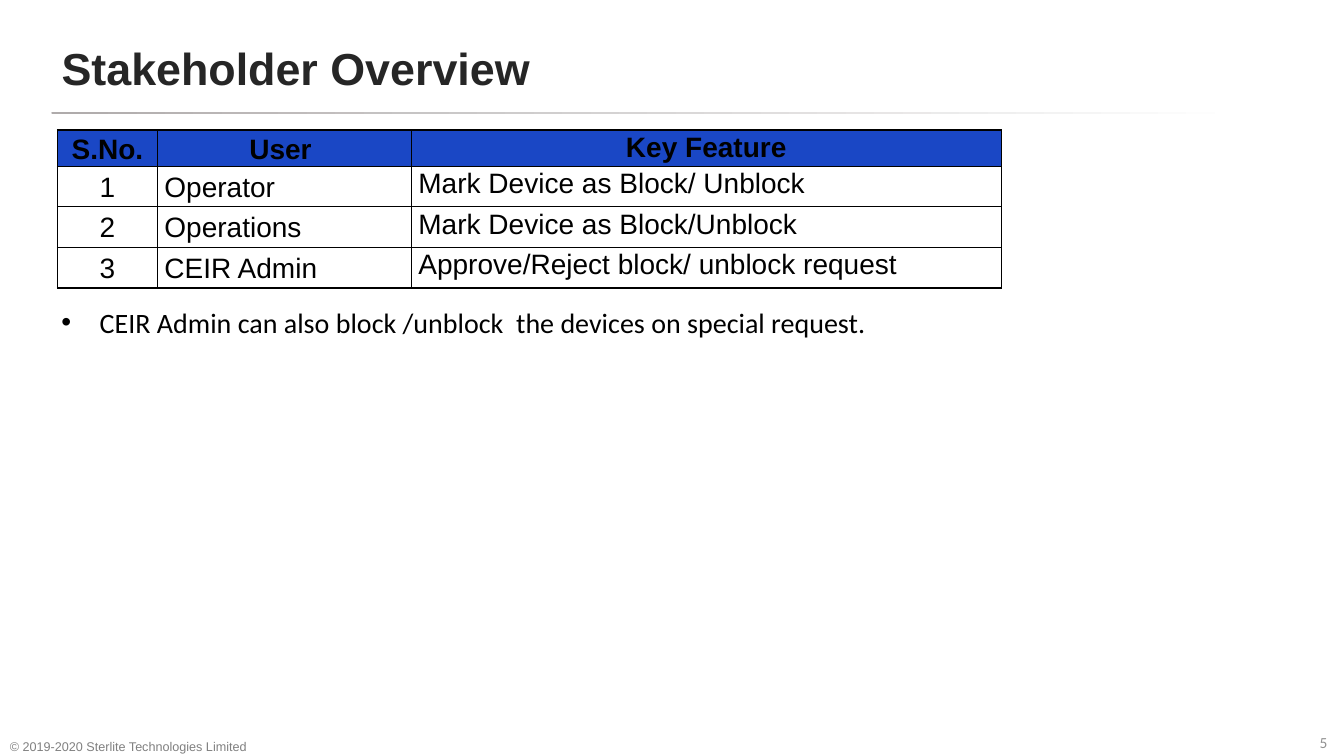
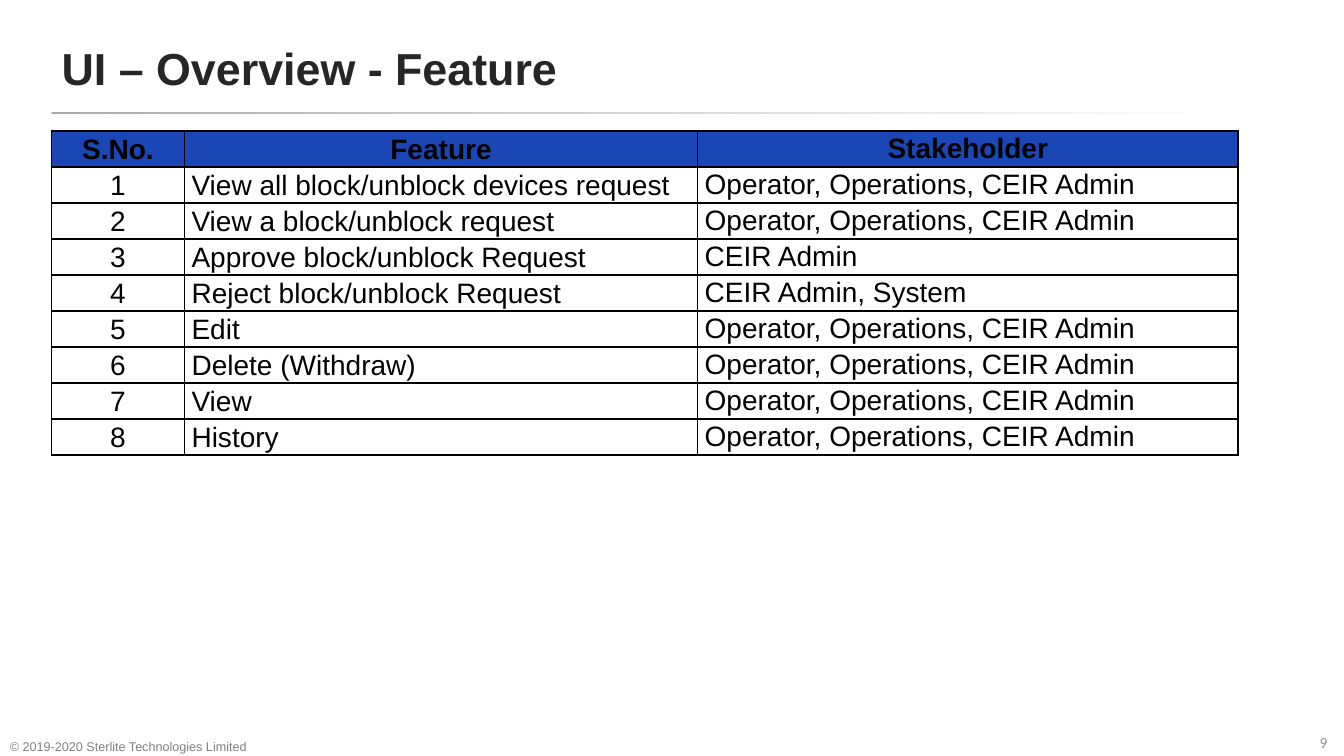
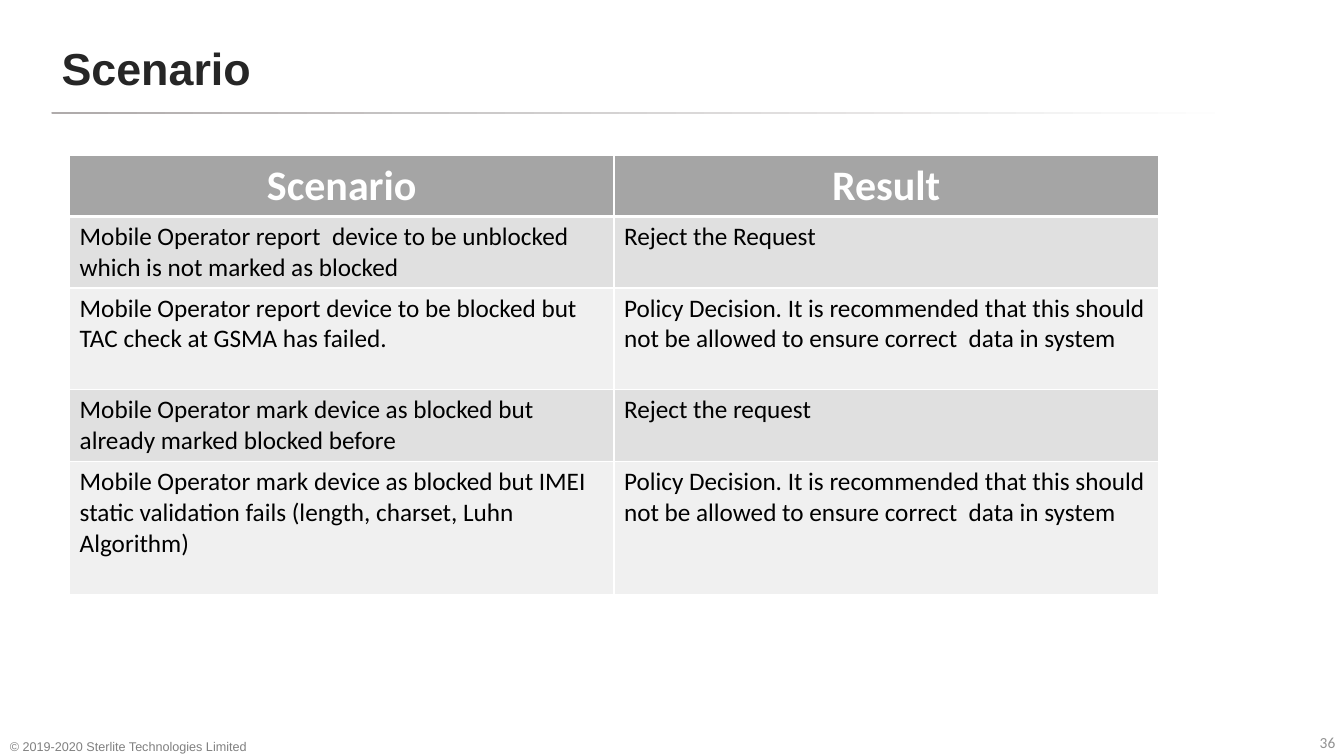
from dataclasses import dataclass
from itertools import chain

from lxml import etree
from pptx import Presentation
from pptx.dml.color import RGBColor
from pptx.enum.shapes import MSO_SHAPE
from pptx.enum.text import MSO_ANCHOR, MSO_AUTO_SIZE, PP_ALIGN
from pptx.oxml.ns import qn
from pptx.util import Inches, Pt

LEFT, CENTER = PP_ALIGN.LEFT, PP_ALIGN.CENTER
TOP, MIDDLE, BOTTOM = MSO_ANCHOR.TOP, MSO_ANCHOR.MIDDLE, MSO_ANCHOR.BOTTOM
FIXED, GROW = MSO_AUTO_SIZE.NONE, MSO_AUTO_SIZE.SHAPE_TO_FIT_TEXT
ROUNDED = MSO_SHAPE.ROUNDED_RECTANGLE
TITLE_ONLY = 5
WIDTH, HEIGHT = Inches(13.33), Inches(7.5)
COPYRIGHT = "© 2019-2020 Sterlite Technologies Limited"
ALL_USERS = "Operator, Operations, CEIR Admin"
POLICY = ("Policy Decision. It is recommended that this should "
          "not be allowed to ensure correct  data in system")


@dataclass(frozen=True)
class TextStyle:
    size: float
    name: str
    color: str
    bold: bool = False


class Theme:
    title = TextStyle(32, "Arial", "262626", True)
    page_number = TextStyle(11, "Calibri", "929292")
    copyright = TextStyle(9, "Arial", "808080")
    note = TextStyle(20, "Calibri", "000000")
    list_header = TextStyle(20, "Arial", "000000", True)
    list_body = TextStyle(20, "Arial", "000000")
    scenario_header = TextStyle(30, "Calibri", "FFFFFF", True)
    scenario_body = TextStyle(18, "Calibri", "000000")
    black, white = "000000", "FFFFFF"
    rule = "AFABAB"
    stakeholder_blue, feature_blue = "1A47C5", "1B47B6"
    gray, band_dark, band_light = "A5A5A5", "E0E0E0", "F0F0F0"


def across(percent):
    return round(WIDTH * percent / 100)


def down(percent):
    return round(HEIGHT * percent / 100)


def area(left, top, width, height):
    """Turn percentages of the slide into a position and size."""
    return across(left), down(top), across(width), down(height)


def set_all(target, values):
    for name, value in values.items():
        setattr(target, name, value)


def write(frame, text, style, align=LEFT, paragraph_format=None, **frame_format):
    set_all(frame, frame_format)
    paragraph = frame.paragraphs[0]
    set_all(paragraph, {"alignment": align, **(paragraph_format or {})})
    run = paragraph.add_run()
    run.text = text
    set_all(run.font, {"size": Pt(style.size), "name": style.name, "bold": style.bold})
    run.font.color.rgb = RGBColor.from_string(style.color)
    return paragraph


def add_text(slide, box, text, style, **text_format):
    shape = slide.shapes.add_textbox(*box)
    return write(shape.text_frame, text, style, **text_format)


def add_rule(slide):
    """Draw the line below the title that fades out to the right."""
    rule = slide.shapes.add_shape(ROUNDED, *area(3.83, 14.8, 92.35, 0.27))
    rule.adjustments[0] = 0.5
    rule.shadow.inherit = False
    rule.line.fill.background()
    rule.fill.gradient()
    rule.fill.gradient_angle = 0
    for stop, position, color in zip(rule.fill.gradient_stops, (0, 0.96),
                                     (Theme.rule, Theme.white)):
        stop.position = position
        stop.color.rgb = RGBColor.from_string(color)


def add_slide(presentation, title, number):
    slide = presentation.slides.add_slide(presentation.slide_layouts[TITLE_ONLY])
    add_rule(slide)
    heading = slide.shapes.title
    box = area(3.83, 3.07, 74.42, 11.73)
    set_all(heading, dict(zip(("left", "top", "width", "height"), box)))
    write(heading.text_frame, title, Theme.title,
          vertical_anchor=MIDDLE, auto_size=FIXED, word_wrap=True)
    margins = {f"margin_{side}": Inches(0.05) for side in ("left", "top", "right", "bottom")}
    add_text(slide, area(97.82, 96.27, 2.03, 3.33), str(number), Theme.page_number,
             word_wrap=False, auto_size=GROW, **margins)
    add_text(slide, area(0, 96.27, 22.73, 4.13), COPYRIGHT, Theme.copyright,
             word_wrap=True, vertical_anchor=BOTTOM)
    return slide


def add_bullet_note(slide, box, text):
    paragraph = add_text(slide, box, text, Theme.note, word_wrap=True)
    properties = paragraph._p.get_or_add_pPr()
    indent = Inches(0.38)
    properties.set("marL", str(indent))
    properties.set("indent", str(-indent))
    etree.SubElement(properties, qn("a:buFont"), typeface="Arial")
    etree.SubElement(properties, qn("a:buChar"), char="•")


def set_borders(cell, color, bottom_width=1):
    properties = cell._tc.get_or_add_tcPr()
    for index, side in enumerate("LRTB"):
        width = Pt(bottom_width if side == "B" else 1)
        line = etree.Element(qn(f"a:ln{side}"), w=str(width))
        fill = etree.SubElement(line, qn("a:solidFill"))
        etree.SubElement(fill, qn("a:srgbClr"), val=color)
        properties.insert(index, line)


def add_grid(slide, left, top, columns, heights):
    """Add an unstyled table; all sizes are percentages of the slide."""
    box = area(left, top, sum(columns), sum(heights))
    table = slide.shapes.add_table(len(heights), len(columns), *box).table
    set_all(table, {"first_row": False, "horz_banding": False})
    for column, width in zip(table.columns, columns):
        column.width = across(width)
    for row, height in zip(table.rows, heights):
        row.height = down(height)
    return table


def fill_cell(cell, color):
    if color is None:
        cell.fill.background()
    else:
        cell.fill.solid()
        cell.fill.fore_color.rgb = RGBColor.from_string(color)


def add_numbered_table(slide, left, top, columns, heights, header_fill, header, entries):
    table = add_grid(slide, left, top, columns, heights)
    numbered = ((str(number), *entry) for number, entry in enumerate(entries, 1))
    spacing = {"line_spacing": 1.07, "space_after": Pt(8)}
    margins = {"margin_left": Inches(0.07), "margin_right": Inches(0.07),
               "margin_top": 0, "margin_bottom": 0}
    for row, texts in enumerate(chain([header], numbered)):
        is_header = row == 0
        for column, text in enumerate(texts):
            cell = table.cell(row, column)
            is_last = column == len(columns) - 1
            set_all(cell, {"vertical_anchor": TOP if is_last else MIDDLE, **margins})
            write(cell.text_frame, text,
                  Theme.list_header if is_header else Theme.list_body,
                  align=CENTER if is_header or column == 0 else LEFT,
                  paragraph_format=spacing)
            fill_cell(cell, header_fill if is_header else None)
            set_borders(cell, Theme.black)


def add_scenario_table(slide, left, top, columns, heights, rows):
    table = add_grid(slide, left, top, columns, heights)
    for row, texts in enumerate(rows):
        is_header = row == 0
        band = Theme.band_dark if row % 2 else Theme.band_light
        for column, text in enumerate(texts):
            cell = table.cell(row, column)
            write(cell.text_frame, text,
                  Theme.scenario_header if is_header else Theme.scenario_body,
                  align=CENTER if is_header else LEFT)
            fill_cell(cell, Theme.gray if is_header else band)
            set_borders(cell, Theme.white, bottom_width=3 if is_header else 1)


def add_stakeholder_slide(presentation):
    slide = add_slide(presentation, "Stakeholder Overview", 5)
    add_bullet_note(slide, area(3.83, 39.73, 70.22, 11.2),
                    "CEIR Admin can also block /unblock  the devices on special request.")
    add_numbered_table(
        slide, 4.28, 17.2, (7.43, 18.9, 43.89), [4.8] + [5.37] * 3,
        Theme.stakeholder_blue, ("S.No.", "User ", "Key Feature"),
        [("Operator", "Mark Device as Block/ Unblock"),
         ("Operations", "Mark Device as Block/Unblock"),
         ("CEIR Admin", "Approve/Reject block/ unblock request")])


def add_feature_slide(presentation):
    slide = add_slide(presentation, "UI – Overview - Feature", 9)
    add_numbered_table(
        slide, 3.83, 17.33, (9.9, 38.18, 40.21), [4.67] + [4.43] * 4 + [4.55] * 4,
        Theme.feature_blue, ("S.No.", "Feature", "Stakeholder"),
        [("View all block/unblock devices request", ALL_USERS),
         ("View a block/unblock request", ALL_USERS),
         ("Approve block/unblock Request", "CEIR Admin"),
         ("Reject block/unblock Request", "CEIR Admin, System"),
         ("Edit", ALL_USERS),
         ("Delete (Withdraw)", ALL_USERS),
         ("View", ALL_USERS),
         ("History", ALL_USERS)])


def add_scenario_slide(presentation):
    slide = add_slide(presentation, "Scenario", 36)
    add_scenario_table(
        slide, 5.18, 20.53, (40.51, 40.51), (8.1, 9.47, 13.47, 9.47, 17.6),
        [("Scenario", "Result"),
         ("Mobile Operator report  device to be unblocked which is not marked as blocked",
          "Reject the Request"),
         ("Mobile Operator report device to be blocked but TAC check at GSMA has failed.",
          POLICY),
         ("Mobile Operator mark device as blocked but already marked blocked before",
          "Reject the request"),
         ("Mobile Operator mark device as blocked but IMEI static validation fails "
          "(length, charset, Luhn Algorithm)", POLICY)])


def main():
    presentation = Presentation()
    set_all(presentation, {"slide_width": WIDTH, "slide_height": HEIGHT})
    add_stakeholder_slide(presentation)
    add_feature_slide(presentation)
    add_scenario_slide(presentation)
    presentation.save("out.pptx")


if __name__ == "__main__":
    main()
